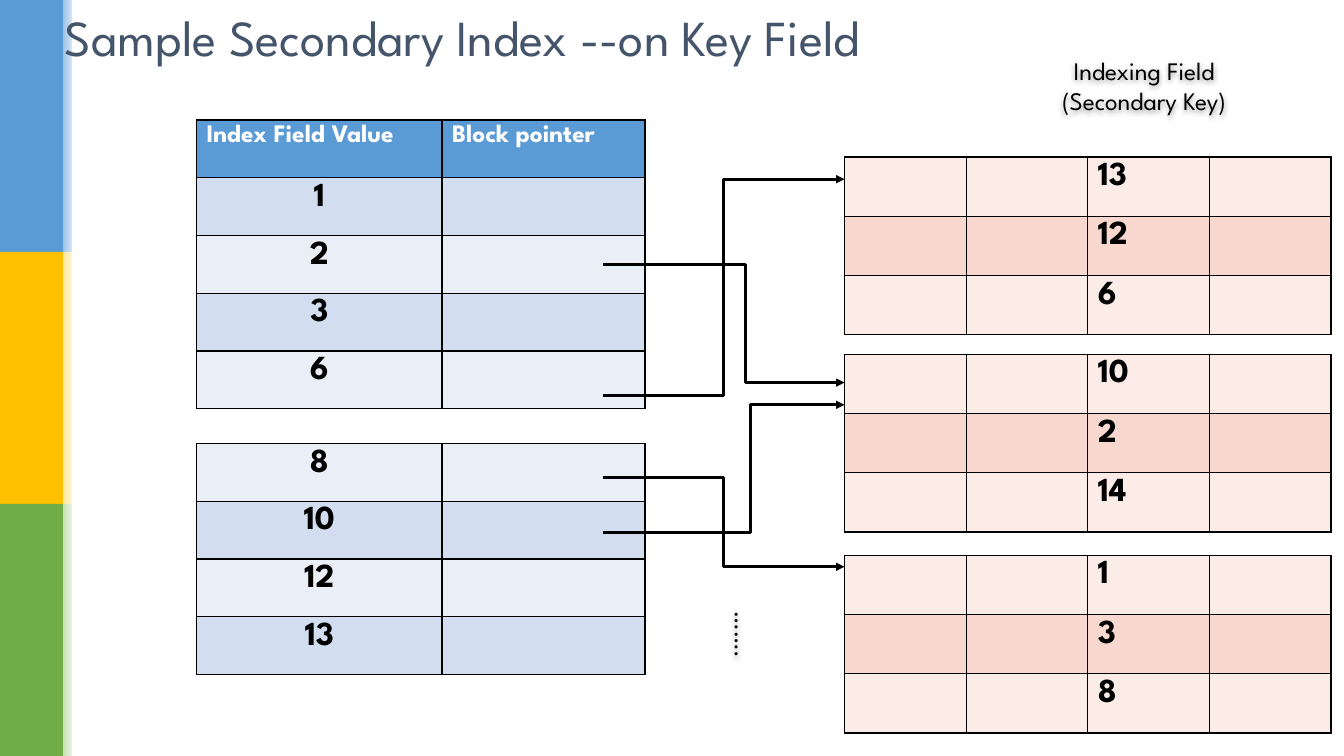
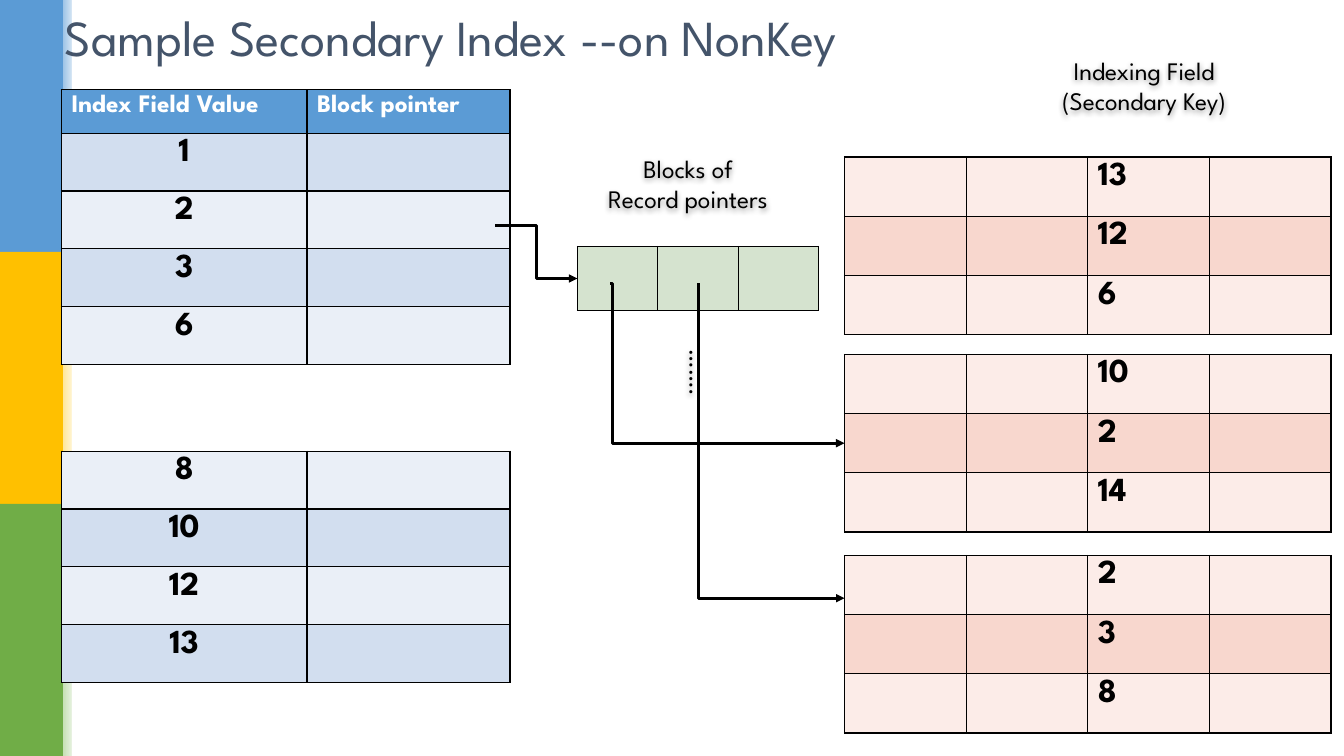
from lxml.etree import SubElement
from pptx import Presentation
from pptx.dml.color import RGBColor
from pptx.enum.shapes import MSO_CONNECTOR, MSO_SHAPE
from pptx.enum.text import MSO_ANCHOR, PP_ALIGN
from pptx.oxml.ns import qn
from pptx.util import Pt

FONT = "League Spartan"
BLACK, WHITE, SLATE = "000000", "FFFFFF", "44546A"
HEADER, BLUE, PALE_BLUE = "5B9BD5", "D2DEEF", "EAEFF7"
PEACH, PALE_PEACH, GREEN = "F8D7CE", "FCECE8", "D5E3CF"
BANDS = [("5B9BD5", "9DC3E6"), ("FFC000", "FFE699"), ("70AD47", "C5E0B4")]
SLIDE_WIDTH, SLIDE_HEIGHT = 960, 540
BAND_WIDTH, FADE_WIDTH = 45, 11.5
INDEX_COLUMNS, INDEX_ROW = [175.4, 145], 41.3
RECORD_LEFT, RECORD_COLUMN, RECORD_ROW = 603.2, 86.9, 42.3
RECORD_TOPS = [112.2, 253.1, 396.7]


def color(value):
    """Turn a hex string into a colour."""
    return RGBColor.from_string(value)


def box(left, top, width, height):
    """Return a position and size given in points as lengths."""
    return Pt(left), Pt(top), Pt(width), Pt(height)


def add_child(parent, tag, **attributes):
    """Append an XML child with the given attributes."""
    return SubElement(parent, qn(tag), {name: str(value) for name, value in attributes.items()})


def format_paragraph(paragraph, size, value, align=PP_ALIGN.LEFT, bold=False):
    """Set the font and alignment of a paragraph."""
    paragraph.alignment = align
    font = paragraph.font
    font.name, font.size, font.bold = FONT, Pt(size), bold
    font.color.rgb = color(value)


def add_rectangle(slide, left, top, width, height, fill):
    """Add a plain rectangle without line or shadow."""
    shape = slide.shapes.add_shape(MSO_SHAPE.RECTANGLE, *box(left, top, width, height))
    shape.shadow.inherit = False
    shape.line.fill.background()
    shape.fill.solid()
    shape.fill.fore_color.rgb = color(fill)
    return shape


def add_bands(slide):
    """Draw the coloured side bands and move them to the slide's layout."""
    height = SLIDE_HEIGHT / len(BANDS)
    shapes = []
    for index, (fill, fade) in enumerate(BANDS):
        top = index * height
        shapes.append(add_rectangle(slide, 0, top, BAND_WIDTH, height, fill))
        fading = add_rectangle(slide, BAND_WIDTH, top, FADE_WIDTH, height, fade)
        fading.fill.gradient()
        fading.fill.gradient_angle = 0
        for stop, value in zip(fading.fill.gradient_stops, (fade, WHITE)):
            stop.color.rgb = color(value)
        shapes.append(fading)
    shapes.append(add_rectangle(slide, 51.4, 0, 5, SLIDE_HEIGHT, WHITE))
    for shape in shapes:
        slide.slide_layout.shapes.element.append(shape.element)


def add_title(slide, text):
    """Fill and place the title placeholder."""
    title = slide.shapes.title
    title.left, title.top, title.width, title.height = box(39, 7.2, 740, 38)
    frame = title.text_frame
    frame.text = text
    frame.vertical_anchor = MSO_ANCHOR.MIDDLE
    format_paragraph(frame.paragraphs[0], 36, SLATE)


def add_label(slide, text, left, top, width=132.5, rotation=0):
    """Add a centred caption with a soft shadow."""
    label = slide.shapes.add_textbox(*box(left, top, width, 37.4))
    label.rotation = rotation
    frame = label.text_frame
    frame.word_wrap = True
    frame.vertical_anchor = MSO_ANCHOR.MIDDLE
    frame.text = text
    format_paragraph(frame.paragraphs[0], 18, BLACK, PP_ALIGN.CENTER)
    effects = add_child(label.element.spPr, "a:effectLst")
    shadow = add_child(effects, "a:outerShdw", blurRad=Pt(4), dist=Pt(1.5), dir=5400000)
    add_child(add_child(shadow, "a:srgbClr", val=BLACK), "a:alpha", val=38000)


def add_borders(cell):
    """Draw thin black borders around a cell."""
    properties = cell._tc.get_or_add_tcPr()
    for side in ("a:lnL", "a:lnR", "a:lnT", "a:lnB"):
        line = add_child(properties, side, w=Pt(1))
        add_child(add_child(line, "a:solidFill"), "a:srgbClr", val=BLACK)


def add_grid(slide, left, top, widths, heights, rows, fills, align=PP_ALIGN.LEFT):
    """Add a bordered table with one fill for each row."""
    frame = slide.shapes.add_table(
        len(rows), len(widths), *box(left, top, sum(widths), sum(heights)))
    table = frame.table
    table.first_row = table.horz_banding = False
    for column, width in zip(table.columns, widths):
        column.width = Pt(width)
    for row, height, texts, fill in zip(table.rows, heights, rows, fills):
        row.height = Pt(height)
        is_header = fill == HEADER
        for cell, text in zip(row.cells, texts):
            add_borders(cell)
            cell.fill.solid()
            cell.fill.fore_color.rgb = color(fill)
            cell.text = text
            format_paragraph(
                cell.text_frame.paragraphs[0],
                18 if is_header else 24,
                WHITE if is_header else BLACK,
                PP_ALIGN.LEFT if is_header else align,
                bold=True)


def add_index(slide, left, first_top, second_top, header_height):
    """Add the two blocks of the index, the first with a header."""
    first = [["Index Field Value", "Block pointer"]] + [[key, ""] for key in "1236"]
    second = [[key, ""] for key in ("8", "10", "12", "13")]
    add_grid(slide, left, first_top, INDEX_COLUMNS, [header_height] + [INDEX_ROW] * 4,
             first, [HEADER] + [BLUE, PALE_BLUE] * 2, PP_ALIGN.CENTER)
    add_grid(slide, left, second_top, INDEX_COLUMNS, [INDEX_ROW] * 4,
             second, [PALE_BLUE, BLUE] * 2, PP_ALIGN.CENTER)


def add_records(slide, blocks):
    """Add the record blocks with their keys in the third column."""
    for top, keys in zip(RECORD_TOPS, blocks):
        add_grid(slide, RECORD_LEFT, top, [RECORD_COLUMN] * 4, [RECORD_ROW] * 3,
                 [["", "", key, ""] for key in keys], [PALE_PEACH, PEACH, PALE_PEACH])
    add_label(slide, "Indexing Field\v(Secondary Key)", 751, 42.5)


def add_arrow(slide, start, end, bend=0.5):
    """Add an elbow arrow that turns at a fraction of its width."""
    connector = slide.shapes.add_connector(
        MSO_CONNECTOR.ELBOW, *(Pt(value) for value in (*start, *end)))
    connector.line.width = Pt(2)
    connector.line.color.rgb = color(BLACK)
    properties = connector.element.spPr
    add_child(properties.find(qn("a:ln")), "a:tailEnd", type="triangle")
    add_child(properties, "a:effectLst")
    adjustments = properties.find(qn("a:prstGeom")).find(qn("a:avLst"))
    add_child(adjustments, "a:gd", name="adj1", fmla=f"val {round(bend * 100000)}")


def build_key_slide(slide):
    """Show an index on a key field, pointing straight at the blocks."""
    add_title(slide, "Sample Secondary Index --on Key Field")
    add_index(slide, 140.4, 85.7, 316.8, INDEX_ROW)
    add_records(slide, [("13", "12", "6"), ("10", "2", "14"), ("1", "3", "8")])
    for start, end, bend in [(188.9, 273.3, 0.59), (282.4, 128, 0.5),
                             (341, 404.8, 0.5), (380.3, 289.2, 0.61)]:
        add_arrow(slide, (430.6, start), (RECORD_LEFT, end), bend)
    add_label(slide, "…….", 490.3, 434.9, 83.5, rotation=90)


def build_nonkey_slide(slide):
    """Show an index on a nonkey field, with blocks of record pointers."""
    add_title(slide, "Sample Secondary Index --on NonKey")
    add_index(slide, 43.9, 64, 322.3, 31.2)
    add_records(slide, [("13", "12", "6"), ("10", "2", "14"), ("2", "3", "8")])
    add_label(slide, "…….", 470.9, 247.7, 57.6, rotation=90)
    add_grid(slide, 412.4, 176, [57.5] * 3, [45.8], [[""] * 3], [GREEN])
    add_label(slide, "Blocks of\vRecord pointers", 425.2, 112.5)
    add_arrow(slide, (353.8, 161), (412.4, 198.9))
    add_arrow(slide, (435.8, 202.3), (RECORD_LEFT, 316.6), 0.01)
    add_arrow(slide, (498.8, 202.3), (RECORD_LEFT, 427.3), 0)


def main():
    """Build and save the presentation."""
    presentation = Presentation()
    presentation.slide_width, presentation.slide_height = Pt(SLIDE_WIDTH), Pt(SLIDE_HEIGHT)
    layout = presentation.slide_layouts.get_by_name("Title Only")
    key_slide, nonkey_slide = (presentation.slides.add_slide(layout) for _ in range(2))
    add_bands(key_slide)
    build_key_slide(key_slide)
    build_nonkey_slide(nonkey_slide)
    presentation.save("out.pptx")


if __name__ == "__main__":
    main()
